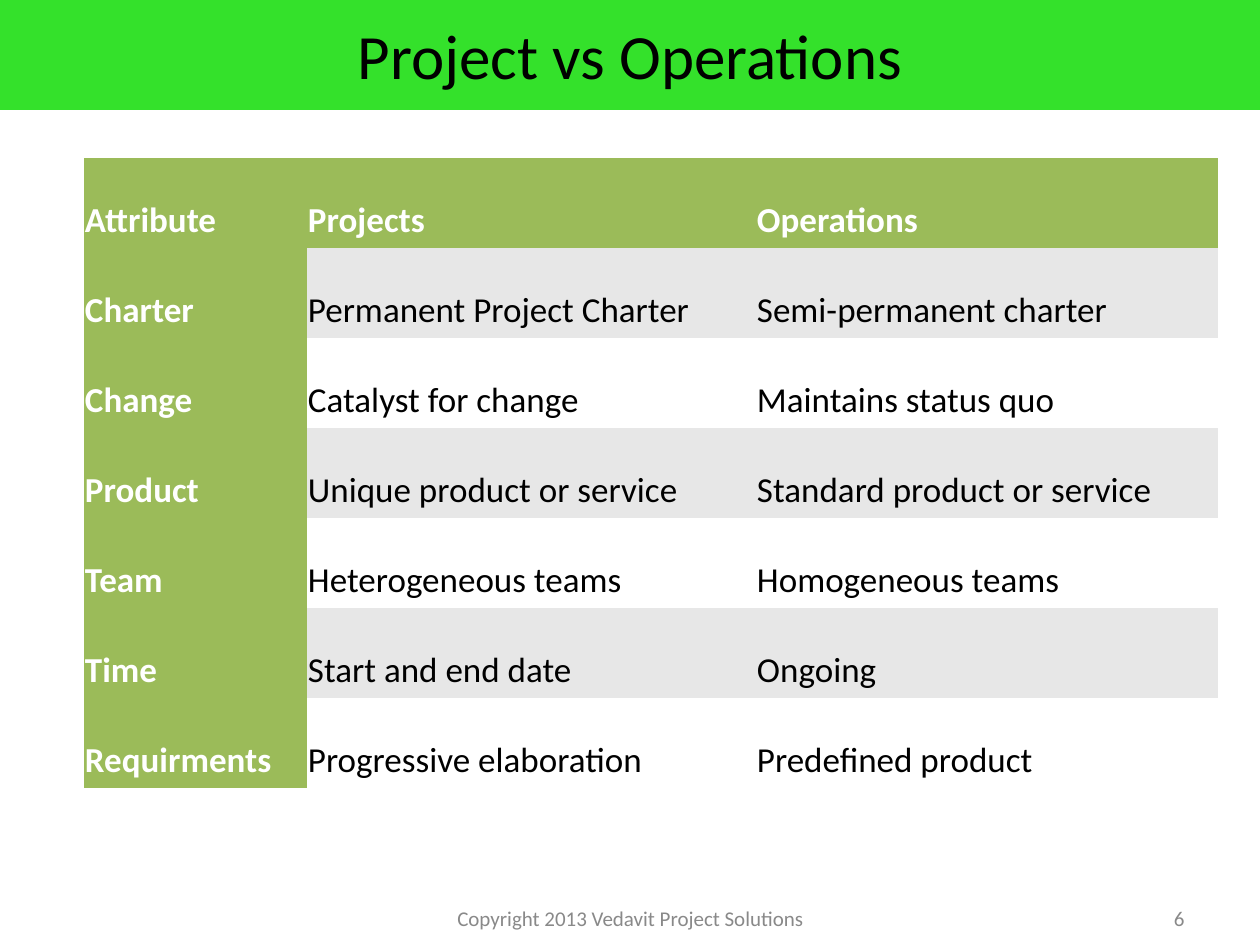
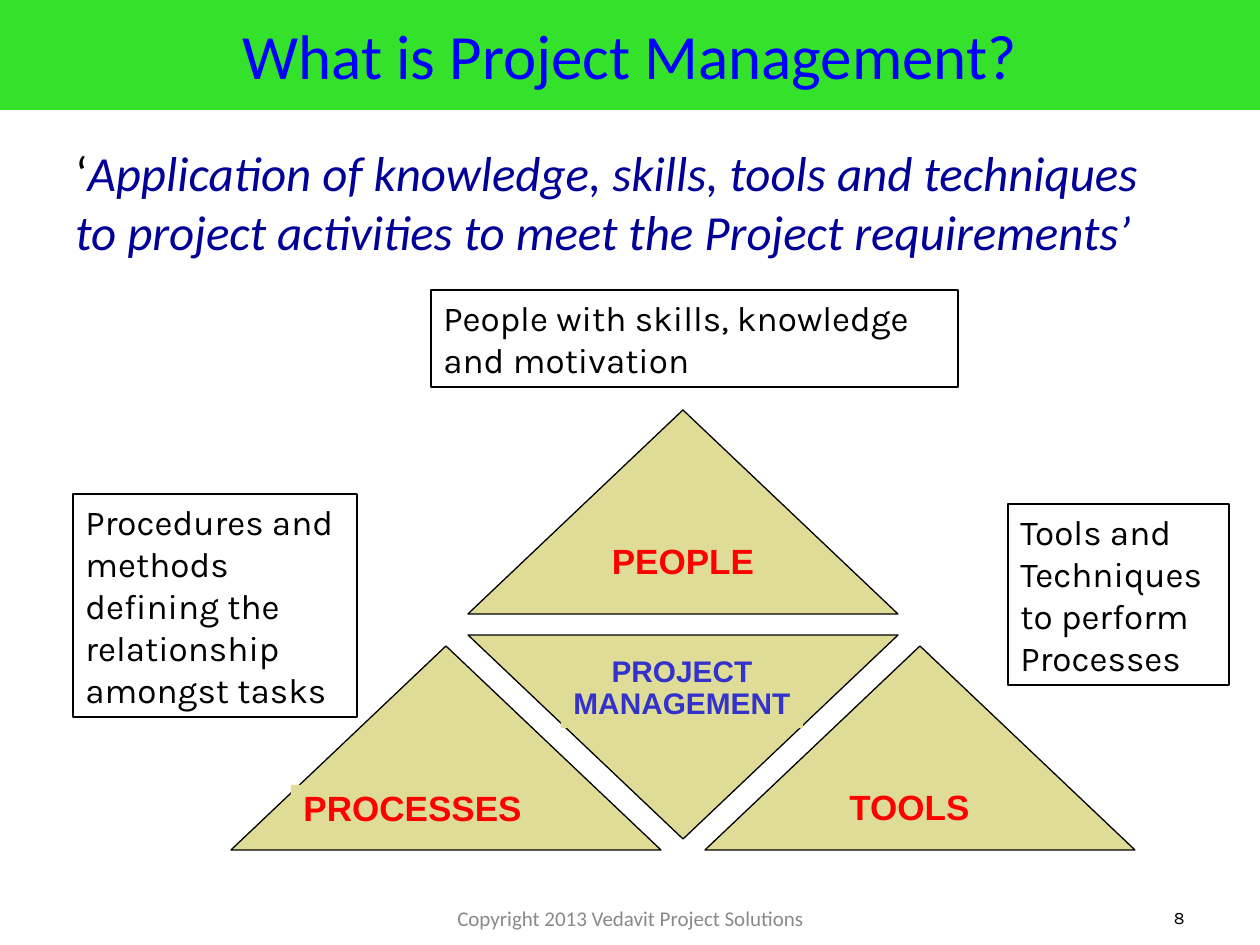
"""Build two slides on projects, operations and project management."""
from dataclasses import dataclass

from pptx import Presentation
from pptx.dml.color import RGBColor
from pptx.enum.shapes import MSO_SHAPE
from pptx.enum.text import MSO_ANCHOR, PP_ALIGN
from pptx.oxml.ns import qn
from pptx.shapes.autoshape import Shape
from pptx.slide import Slide
from pptx.util import Emu, Pt

PX_PER_INCH = 126

BAND_GREEN = RGBColor(0x34, 0xE1, 0x2B)
HEADER_GREEN = RGBColor(0x9B, 0xBB, 0x59)
STRIPE_GREY = RGBColor(0xE7, 0xE7, 0xE7)
FOOTER_GREY = RGBColor(0x89, 0x89, 0x89)
SAND = RGBColor(0xDE, 0xDC, 0x96)
WHITE = RGBColor(0xFF, 0xFF, 0xFF)
BLACK = RGBColor(0x00, 0x00, 0x00)
BLUE = RGBColor(0x00, 0x00, 0xFF)
NAVY = RGBColor(0x00, 0x00, 0x99)
INDIGO = RGBColor(0x33, 0x33, 0xCC)
RED = RGBColor(0xFF, 0x00, 0x00)

NO_TABLE_STYLE = "{2D5ABB26-0587-4C30-8999-92F81FD0307C}"
COPYRIGHT = "Copyright 2013 Vedavit Project Solutions"

ATTRIBUTE_ROWS = (
    ("Attribute", "Projects", "Operations"),
    ("Charter", "Permanent Project Charter", "Semi-permanent charter"),
    ("Change", "Catalyst for change", "Maintains status quo"),
    ("Product", "Unique product or service", "Standard product or service"),
    ("Team", "Heterogeneous teams", "Homogeneous teams"),
    ("Time", "Start and end date", "Ongoing"),
    ("Requirments", "Progressive elaboration", "Predefined product"),
)
ATTRIBUTE_WIDTHS = (223, 449, 462)
ATTRIBUTE_ROW_HEIGHT = 90

TRIANGLE_WIDTH, TRIANGLE_HEIGHT = 430, 204
CENTRE_LEFT, SIDE_SHIFT = 468, 237
PEOPLE_TOP, CENTRE_TOP, SIDE_TOP = 410, 635, 646


@dataclass(frozen=True)
class Box:
    """Place of an element in px."""
    left: int
    top: int
    width: int
    height: int

    def emu(self) -> tuple[Emu, ...]:
        """Return left, top, width and height in EMU."""
        return tuple(px(v) for v in (self.left, self.top, self.width, self.height))


@dataclass(frozen=True)
class Style:
    """Look of a run of text."""
    size: int
    font: str
    color: RGBColor
    bold: bool = False
    italic: bool = False


@dataclass(frozen=True)
class Label:
    """Words laid over a triangle."""
    lines: tuple[str, ...]
    box: Box
    style: Style
    align: PP_ALIGN


@dataclass(frozen=True)
class Note:
    """Outlined explanation beside the triangles."""
    words: str
    box: Box


FOOTER_STYLE = Style(12, "Calibri", FOOTER_GREY)
HEADING_CELL = Style(20, "Calibri", WHITE, bold=True)
BODY_CELL = Style(20, "Calibri", BLACK)
NOTE_STYLE = Style(20, "Karla", BLACK)
ELEMENT_STYLE = Style(20, "Arial", RED, bold=True)
CENTRE_STYLE = Style(17, "Arial", INDIGO, bold=True)

LABELS = (
    Label(("PROCESSES",), Box(291, 785, 243, 50), ELEMENT_STYLE, PP_ALIGN.LEFT),
    Label(("TOOLS",), Box(837, 784, 146, 50), ELEMENT_STYLE, PP_ALIGN.LEFT),
    Label(("PROJECT", "MANAGEMENT"), Box(561, 651, 242, 77), CENTRE_STYLE,
          PP_ALIGN.CENTER),
)
NOTES = (
    Note("People with skills, knowledge and motivation", Box(431, 290, 527, 97)),
    Note("Procedures and methods defining the relationship amongst tasks",
         Box(73, 494, 284, 223)),
    Note("Tools and Techniques to perform Processes", Box(1008, 504, 221, 181)),
)


def px(length: int) -> Emu:
    """Turn px into EMU."""
    return Emu(round(length * 914400 / PX_PER_INCH))


def add_run(paragraph, words: str, style: Style) -> None:
    """Append one styled run."""
    run = paragraph.add_run()
    run.text = words
    run.font.size = Pt(style.size)
    run.font.name = style.font
    run.font.color.rgb = style.color
    run.font.bold = style.bold
    run.font.italic = style.italic


def write(frame, lines: tuple[str, ...], style: Style, align: PP_ALIGN,
          anchor: MSO_ANCHOR = MSO_ANCHOR.TOP, wrap: bool = True) -> None:
    """Write one paragraph, with line breaks between its lines."""
    frame.word_wrap = wrap
    frame.vertical_anchor = anchor
    paragraph = frame.paragraphs[0]
    paragraph.alignment = align
    for index, line in enumerate(lines):
        if index:
            paragraph.add_line_break()
        add_run(paragraph, line, style)


def draw_shape(slide: Slide, kind: MSO_SHAPE, box: Box, fill: RGBColor | None = None,
               line_width: float = 0) -> Shape:
    """Draw a flat preset shape, outlined in black if it has a line width."""
    shape = slide.shapes.add_shape(kind, *box.emu())
    shape.shadow.inherit = False
    if fill is None:
        shape.fill.background()
    else:
        shape.fill.solid()
        shape.fill.fore_color.rgb = fill
    if line_width:
        shape.line.color.rgb = BLACK
        shape.line.width = Pt(line_width)
    else:
        shape.line.fill.background()
    return shape


def draw_text(slide: Slide, box: Box, words: str, style: Style, align: PP_ALIGN) -> None:
    """Draw a vertically centred text box."""
    frame = slide.shapes.add_textbox(*box.emu()).text_frame
    write(frame, (words,), style, align, MSO_ANCHOR.MIDDLE)


def start_slide(deck, title: str, title_color: RGBColor, number: str,
                number_style: Style = FOOTER_STYLE) -> Slide:
    """Add a slide with its title band, copyright line and number."""
    slide = deck.slides.add_slide(deck.slide_layouts[6])
    band = draw_shape(slide, MSO_SHAPE.RECTANGLE, Box(0, -1, 1260, 111), BAND_GREEN)
    write(band.text_frame, (title,), Style(36, "Calibri", title_color),
          PP_ALIGN.CENTER, MSO_ANCHOR.MIDDLE)
    draw_text(slide, Box(431, 893, 399, 50), COPYRIGHT, FOOTER_STYLE, PP_ALIGN.CENTER)
    draw_text(slide, Box(903, 893, 294, 50), number, number_style, PP_ALIGN.RIGHT)
    return slide


def draw_attributes(slide: Slide) -> None:
    """Draw the table that sets projects against operations."""
    box = Box(84, 158, sum(ATTRIBUTE_WIDTHS), ATTRIBUTE_ROW_HEIGHT * len(ATTRIBUTE_ROWS))
    holder = slide.shapes.add_table(len(ATTRIBUTE_ROWS), len(ATTRIBUTE_WIDTHS), *box.emu())
    for style_id in holder.element.iter(qn("a:tableStyleId")):
        style_id.text = NO_TABLE_STYLE
    table = holder.table
    for column, width in zip(table.columns, ATTRIBUTE_WIDTHS):
        column.width = px(width)
    for r, words_in_row in enumerate(ATTRIBUTE_ROWS):
        table.rows[r].height = px(ATTRIBUTE_ROW_HEIGHT)
        for c, words in enumerate(words_in_row):
            heading = r == 0 or c == 0
            cell = table.cell(r, c)
            cell.margin_left = cell.margin_right = px(1)
            cell.margin_top = cell.margin_bottom = px(6)
            cell.vertical_anchor = MSO_ANCHOR.BOTTOM
            cell.fill.solid()
            stripe = STRIPE_GREY if r % 2 else WHITE
            cell.fill.fore_color.rgb = HEADER_GREEN if heading else stripe
            add_run(cell.text_frame.paragraphs[0], words,
                    HEADING_CELL if heading else BODY_CELL)


def draw_definition(slide: Slide) -> None:
    """Write the definition of project management."""
    frame = slide.shapes.add_textbox(*Box(63, 136, 1134, 140).emu()).text_frame
    write(frame, ("‘",), Style(28, "Calibri", BLACK), PP_ALIGN.LEFT)
    add_run(frame.paragraphs[0],
            "Application of knowledge, skills, tools and techniques to project "
            "activities to meet the Project requirements’",
            Style(28, "Calibri", NAVY, italic=True))


def draw_triangle(slide: Slide, left: int, top: int) -> Shape:
    """Draw one of the equal triangles."""
    return draw_shape(slide, MSO_SHAPE.ISOSCELES_TRIANGLE,
                      Box(left, top, TRIANGLE_WIDTH, TRIANGLE_HEIGHT), SAND, 0.75)


def draw_pyramid(slide: Slide) -> None:
    """Draw the four triangles with their labels."""
    people = draw_triangle(slide, CENTRE_LEFT, PEOPLE_TOP)
    write(people.text_frame, ("PEOPLE",), ELEMENT_STYLE, PP_ALIGN.CENTER,
          MSO_ANCHOR.MIDDLE, wrap=False)
    people.text_frame.paragraphs[0].line_spacing = 0.9
    draw_triangle(slide, CENTRE_LEFT, CENTRE_TOP).rotation = 180
    for shift in (SIDE_SHIFT, -SIDE_SHIFT):
        draw_triangle(slide, CENTRE_LEFT + shift, SIDE_TOP)
    for label in LABELS:
        patch = draw_shape(slide, MSO_SHAPE.RECTANGLE, label.box, SAND)
        write(patch.text_frame, label.lines, label.style, label.align, wrap=False)
        patch.text_frame.paragraphs[0].line_spacing = 0.9


def draw_notes(slide: Slide) -> None:
    """Draw the outlined explanations."""
    for note in NOTES:
        frame = draw_shape(slide, MSO_SHAPE.RECTANGLE, note.box, line_width=1).text_frame
        write(frame, (note.words,), NOTE_STYLE, PP_ALIGN.LEFT)


def main() -> None:
    """Build and save both slides."""
    deck = Presentation()
    deck.slide_width, deck.slide_height = px(1260), px(945)
    draw_attributes(start_slide(deck, "Project vs Operations", BLACK, "6"))
    management = start_slide(deck, "What is Project Management?", BLUE, "8",
                             Style(10, "Karla", BLACK))
    draw_definition(management)
    draw_pyramid(management)
    draw_notes(management)
    deck.save("out.pptx")


if __name__ == "__main__":
    main()
